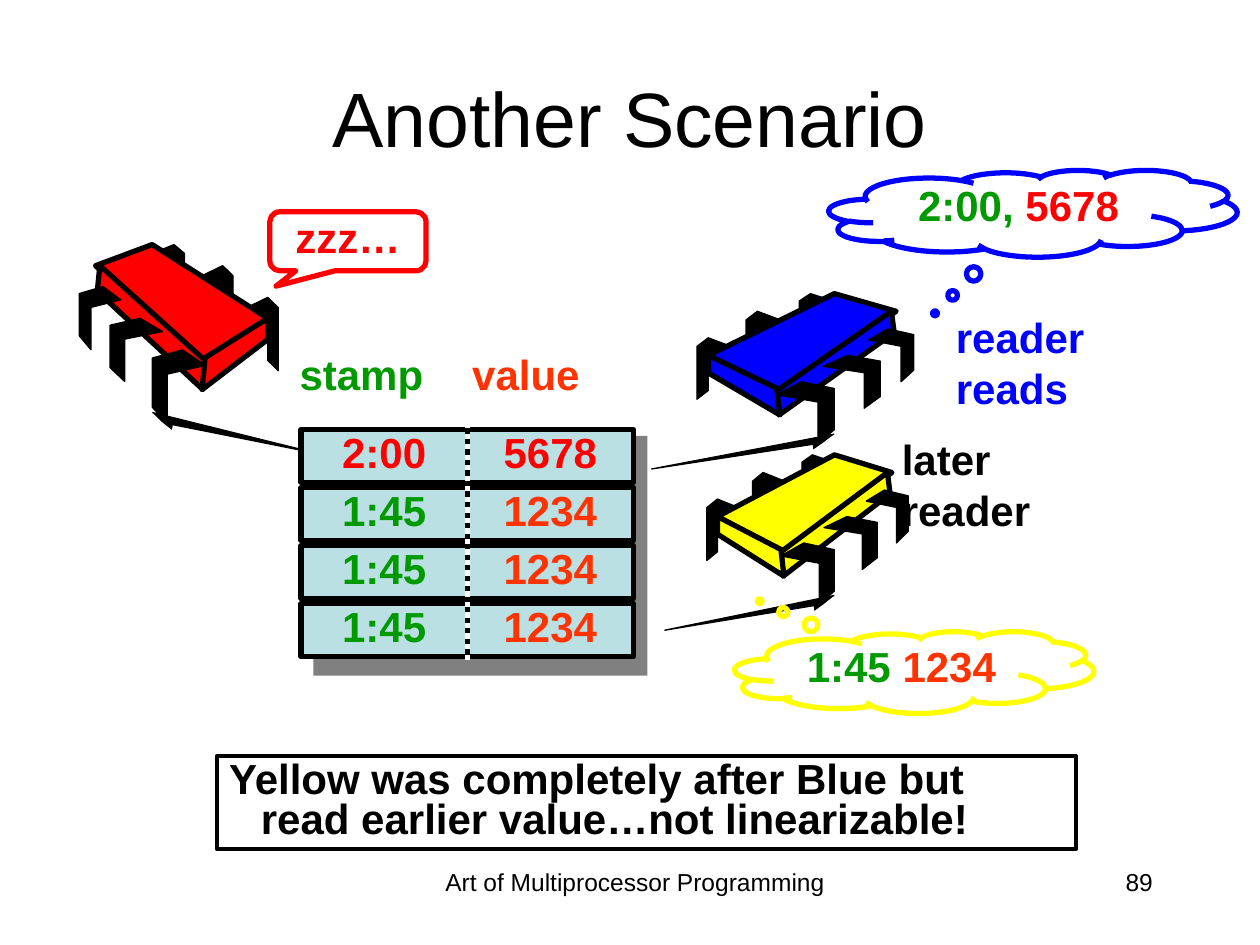
from dataclasses import dataclass

from lxml.etree import SubElement
from pptx import Presentation
from pptx.dml.color import RGBColor
from pptx.enum.dml import MSO_LINE
from pptx.enum.shapes import MSO_CONNECTOR, MSO_SHAPE
from pptx.enum.text import MSO_ANCHOR, PP_ALIGN
from pptx.oxml.ns import qn
from pptx.util import Cm, Pt


@dataclass(frozen=True)
class Theme:
    font: str = "Arial"
    title: int = 44
    body: int = 24
    foot: int = 14
    thick: float = 3
    frame: float = 2.25
    thin: float = 0.75
    black: RGBColor = RGBColor(0, 0, 0)
    white: RGBColor = RGBColor(255, 255, 255)
    gray: RGBColor = RGBColor(128, 128, 128)
    red: RGBColor = RGBColor(255, 0, 0)
    orange: RGBColor = RGBColor(255, 51, 0)
    green: RGBColor = RGBColor(0, 153, 0)
    blue: RGBColor = RGBColor(0, 0, 255)
    yellow: RGBColor = RGBColor(255, 255, 0)
    pale: RGBColor = RGBColor(187, 224, 227)


T = Theme()

# Leg outlines in a unit box
BACK = [(1, .14), (.33, 0), (0, .14), (0, 1), (.33, .86), (.33, .29), (1, .43)]
FRONT = [(.43, 0), (0, .21), (.72, .33), (.72, 1), (1, .78), (1, .11)]

# Chip parts in percent of the chip box; legs as left, top, width, height
REAR = [(0, 29.5, 15.8, 41), (22.7, 11.8, 15.8, 41), (47.2, 0, 15.8, 35.3)]
NEAR = [(36.7, 58.8, 26.6, 41.2), (58.2, 41.2, 26.4, 35.3),
        (79.1, 23.5, 20.9, 35.3)]
BODY = [
    [(63.4, 0), (5.3, 41.2), (37.9, 65.5), (91.9, 11.8)],
    [(89.7, 11.8), (36.9, 64.7), (37.9, 81), (91, 26.1)],
    [(5.3, 41.2), (5.3, 53), (38.3, 81), (36.8, 63.2)],
]
WIRE = [(63.3, 93.8), (-20.9, 117), (58.1, 99.5)]


def paint(shape, fill=None, line=None, width=T.thick):
    shape.shadow.inherit = False
    if fill is None:
        shape.fill.background()
    else:
        shape.fill.solid()
        shape.fill.fore_color.rgb = fill
    if line is None:
        shape.line.fill.background()
    else:
        shape.line.color.rgb = line
        shape.line.width = Pt(width)


def write(shape, text, colors, size=T.body, bold=True,
          align=PP_ALIGN.CENTER, anchor=MSO_ANCHOR.TOP, hang=False):
    """Set the text; a bar parts runs, which take the colours in turn."""
    frame = shape.text_frame
    frame.word_wrap = True
    frame.vertical_anchor = anchor
    frame.text = text.replace("|", "")
    for i, (para, line) in enumerate(zip(frame.paragraphs, text.split("\n"))):
        para.alignment = align
        if bold:
            para.line_spacing = 0.8
        if i:
            para.space_before = Pt(6)
        if hang:
            props = para._p.get_or_add_pPr()
            props.set("marL", str(Cm(0.64)))
            props.set("indent", str(-Cm(0.64)))
        first, *rest = line.split("|")
        para.text = first
        for part in rest:
            para.add_run().text = part
        for run, color in zip(para.runs, colors):
            run.font.name = T.font
            run.font.size = Pt(size)
            run.font.bold = bold
            run.font.color.rgb = color


def label(slide, box, text, color, align=PP_ALIGN.LEFT, **style):
    shape = slide.shapes.add_textbox(*map(Cm, box))
    write(shape, text, [color], align=align, **style)


def chip(slide, box, color, flip=False):
    left, top, width, height = box
    group = slide.shapes.add_group_shape()

    def draw(points, fill, weight, close=True):
        spots = [(Cm(left + width * (100 - x if flip else x) / 100),
                  Cm(top + height * y / 100)) for x, y in points]
        pen = group.shapes.build_freeform(*spots[0])
        pen.add_line_segments(spots[1:], close=close)
        shape = pen.convert_to_shape()
        paint(shape, fill, T.black, weight)
        return shape

    def legs(boxes, form):
        for x, y, w, h in boxes:
            draw([(x + w * u, y + h * v) for u, v in form], T.black, T.thin)

    legs(REAR, BACK)
    for side in BODY:
        draw(side, color, T.thick)
    legs(NEAR, FRONT)
    wire = draw(WIRE, T.black, T.thin, close=False)
    SubElement(wire.line._get_or_add_ln(), qn("a:tailEnd"), type="triangle")


def bubble(slide, box, kind, tip, line, text, colors):
    shape = slide.shapes.add_shape(kind, *map(Cm, box))
    for i, value in enumerate(tip):
        shape.adjustments[i] = value
    paint(shape, line=line)
    write(shape, text, colors)


def grid(slide, box, rows):
    left, top, width, height = box
    cell, pitch = width / 2, height / len(rows)
    for r, row in enumerate(rows):
        for c, (text, color) in enumerate(row):
            shape = slide.shapes.add_shape(
                MSO_SHAPE.RECTANGLE, Cm(left + c * cell),
                Cm(top + r * pitch), Cm(cell), Cm(1.07))
            paint(shape, T.pale, T.black)
            write(shape, text, [color], anchor=MSO_ANCHOR.MIDDLE)
    # Column heads
    for shift, text, color in ((-0.28, "stamp", T.green),
                               (3.2, "value", T.orange)):
        label(slide, (left + shift, top - 1.57, 4.1, 1.07), text, color)
    # Dotted divider
    mid = Cm(left + cell)
    rule = slide.shapes.add_connector(
        MSO_CONNECTOR.STRAIGHT, mid, Cm(top - 0.13), mid, Cm(top + height - 0.03))
    rule.line.color.rgb = T.white
    rule.line.width = Pt(T.thick)
    rule.line.dash_style = MSO_LINE.ROUND_DOT
    SubElement(rule._element.spPr, qn("a:effectLst"))


def panel(slide, box, fill, line=None):
    shape = slide.shapes.add_shape(MSO_SHAPE.RECTANGLE, *map(Cm, box))
    paint(shape, fill, line, T.frame)
    return shape


def main():
    deck = Presentation()
    deck.slide_width, deck.slide_height = Cm(25.4), Cm(19.05)
    slide = deck.slides.add_slide(deck.slide_layouts[6])

    # Title
    label(slide, (1.27, 0.76, 22.86, 3.18), "Another Scenario", T.black,
          PP_ALIGN.CENTER, size=T.title, bold=False, anchor=MSO_ANCHOR.MIDDLE)

    # Writer and shared table
    panel(slide, (6.32, 8.79, 6.73, 4.83), T.gray)
    chip(slide, (1.6, 4.93, 4.01, 3.61), T.red, flip=True)
    old = (("1:45", T.green), ("1234", T.orange))
    new = (("2:00", T.red), ("5678", T.red))
    grid(slide, (6.07, 8.66, 6.7, 4.68), [new, old, old, old])
    bubble(slide, (5.44, 4.27, 3.15, 1.19),
           MSO_SHAPE.ROUNDED_RECTANGULAR_CALLOUT, (-0.46, 0.76, 0.17),
           T.red, "zzz…", [T.red])

    # First reader
    label(slide, (19.02, 6.35, 4.62, 2.11), "reader\nreads", T.blue)
    bubble(slide, (16.71, 3.43, 8.23, 1.75), MSO_SHAPE.CLOUD_CALLOUT,
           (-0.24, 1.15), T.blue, "2:00, |5678", [T.green, T.red])
    chip(slide, (14.05, 5.92, 4.37, 3.02), T.blue)

    # Later reader
    chip(slide, (14.25, 9.17, 4.06, 3.02), T.yellow)
    bubble(slide, (14.81, 12.73, 7.24, 1.65), MSO_SHAPE.CLOUD_CALLOUT,
           (-0.43, -0.87), T.yellow, "1:45 |1234", [T.green, T.orange])
    label(slide, (17.93, 8.81, 4.37, 2.11), "later\nreader", T.black)

    # Verdict
    note = panel(slide, (4.37, 15.24, 17.32, 1.88), T.white, T.black)
    write(note, "Yellow was completely after Blue but read earlier "
          "value…not linearizable!", [T.black], align=PP_ALIGN.LEFT, hang=True)

    # Footer
    label(slide, (8.46, 17.35, 8.69, 1.3), "Art of Multiprocessor Programming",
          T.black, PP_ALIGN.CENTER, size=T.foot, bold=False)
    label(slide, (18.21, 17.35, 5.28, 1.3), "89", T.black, PP_ALIGN.RIGHT,
          size=T.foot, bold=False)

    deck.save("out.pptx")


if __name__ == "__main__":
    main()
